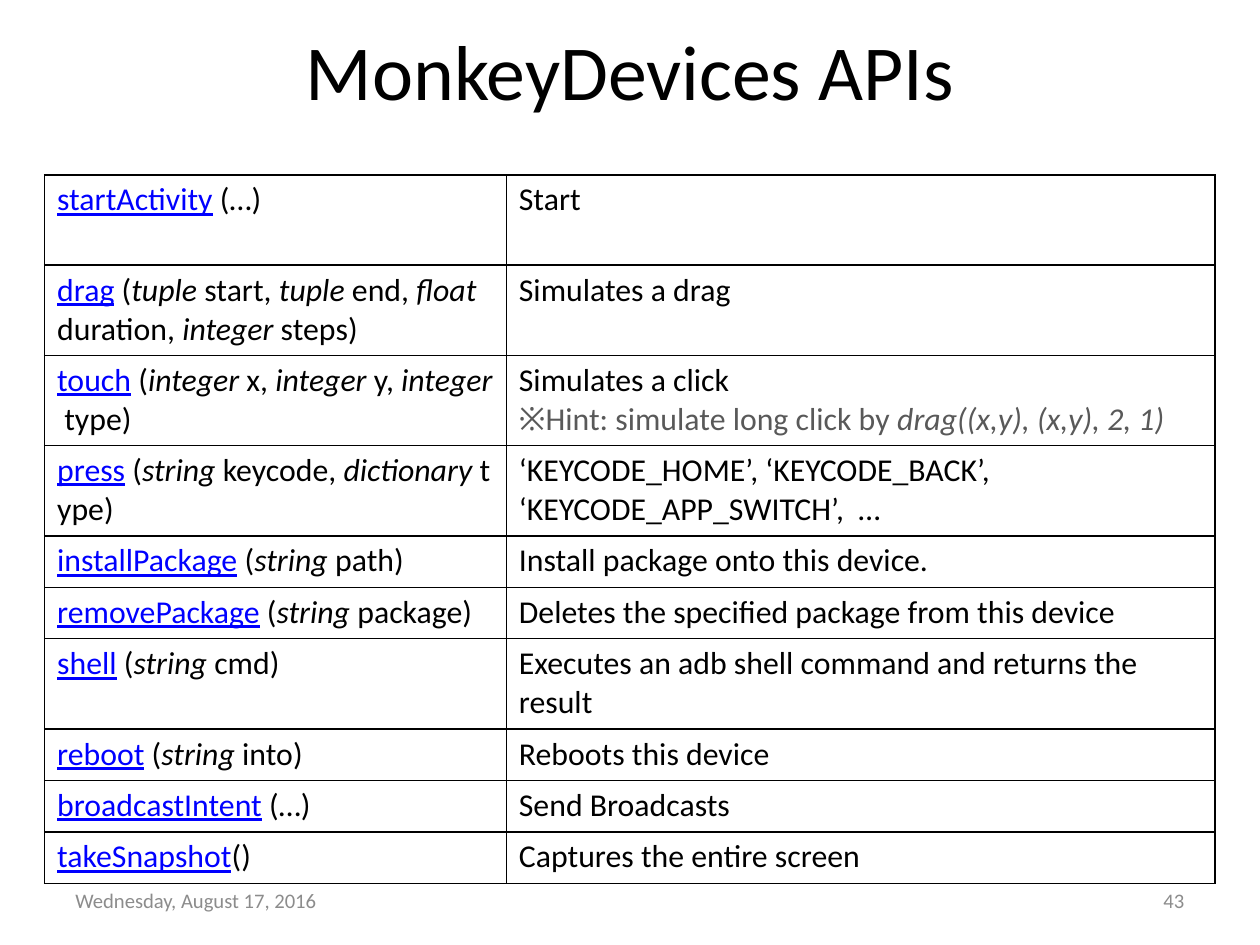
"""Build the MonkeyDevices APIs slide with its two-column method table."""
from lxml.etree import SubElement
from pptx import Presentation
from pptx.dml.color import RGBColor
from pptx.enum.text import MSO_ANCHOR, PP_ALIGN
from pptx.oxml.ns import qn
from pptx.util import Inches, Pt


def write(paragraph, text, size=20, color="000000", italic=False, underline=False):
    run = paragraph.add_run()
    run.text = text
    run.font.name = "Calibri"
    run.font.size = Pt(size)
    run.font.color.rgb = RGBColor.from_string(color)
    run.font.italic = italic
    run.font.underline = underline


def set_insets(holder):
    holder.margin_left = holder.margin_right = Inches(0.11)
    holder.margin_top = holder.margin_bottom = Inches(0.05)


presentation = Presentation()
presentation.slide_width = Inches(28 / 2.54)
presentation.slide_height = Inches(21 / 2.54)
slide = presentation.slides.add_slide(presentation.slide_layouts[5])

heading = slide.shapes.title
heading.left, heading.top = Inches(0.55), Inches(0)
heading.width, heading.height = Inches(9.92), Inches(1.22)
heading.text_frame.vertical_anchor = MSO_ANCHOR.MIDDLE
set_insets(heading.text_frame)
heading.text_frame.paragraphs[0].alignment = PP_ALIGN.CENTER
write(heading.text_frame.paragraphs[0], "MonkeyDevices APIs", size=49)

one_line, two_lines = 0.45, 0.79
methods = [
    ("startActivity", " (…)", "Start", two_lines),
    ("drag", " (*tuple* start, *tuple* end, *float* duration, *integer* steps)",
     "Simulates a drag", two_lines),
    ("touch", " (*integer* x, *integer* y, *integer* type)",
     "Simulates a click", two_lines),
    ("press", " (*string *keycode, *dictionary* type)",
     "‘KEYCODE_HOME’, ‘KEYCODE_BACK’, ‘KEYCODE_APP_SWITCH’,  …", two_lines),
    ("installPackage", " (*string* path)", "Install package onto this device.", one_line),
    ("removePackage", " (*string* package)",
     "Deletes the specified package from this device", one_line),
    ("shell", " (*string *cmd)",
     "Executes an adb shell command and returns the result", two_lines),
    ("reboot", " (*string* into)", "Reboots this device", one_line),
    ("broadcastIntent", " (…)", "Send Broadcasts", one_line),
    ("takeSnapshot", "()", "Captures the entire screen", one_line),
]
hints = {"touch": ("※Hint: simulate long click by ", "drag((x,y), (x,y), 2, 1)")}
no_break_space = chr(160)

api_table = slide.shapes.add_table(
    len(methods), 2, Inches(0.39), Inches(1.53), Inches(10.24), Inches(6.12)).table
api_table.first_row = api_table.horz_banding = False
api_table.columns[0].width = Inches(4.04)
api_table.columns[1].width = Inches(6.2)

for row, (method, arguments, description, height) in enumerate(methods):
    api_table.rows[row].height = Inches(height)
    signature_cell, description_cell = api_table.cell(row, 0), api_table.cell(row, 1)

    signature = signature_cell.text_frame.paragraphs[0]
    write(signature, method, color="0000FF", underline=True)
    for part, words in enumerate(arguments.split("*")):
        write(signature, words.replace(" ", no_break_space), italic=part % 2 == 1)

    write(description_cell.text_frame.paragraphs[0], description)
    if method in hints:
        hint = description_cell.text_frame.add_paragraph()
        advice, call = hints[method]
        write(hint, advice, color="595959")
        write(hint, call, color="595959", italic=True)

    for cell in (signature_cell, description_cell):
        set_insets(cell)
        properties = cell._tc.get_or_add_tcPr()
        for side in ("a:lnL", "a:lnR", "a:lnT", "a:lnB"):
            border = SubElement(properties, qn(side), w=str(Pt(1)))
            border_fill = SubElement(border, qn("a:solidFill"))
            SubElement(border_fill, qn("a:srgbClr"), val="000000")
        cell.fill.background()

for left, footer_text, alignment in (
        (0.55, "Wednesday, August 17, 2016", PP_ALIGN.LEFT),
        (7.9, "43", PP_ALIGN.RIGHT)):
    footer = slide.shapes.add_textbox(
        Inches(left), Inches(7.66), Inches(2.57), Inches(0.44)).text_frame
    footer.word_wrap = True
    footer.vertical_anchor = MSO_ANCHOR.MIDDLE
    set_insets(footer)
    footer.paragraphs[0].alignment = alignment
    write(footer.paragraphs[0], footer_text, size=13, color="8C8C8C")

presentation.save("out.pptx")
